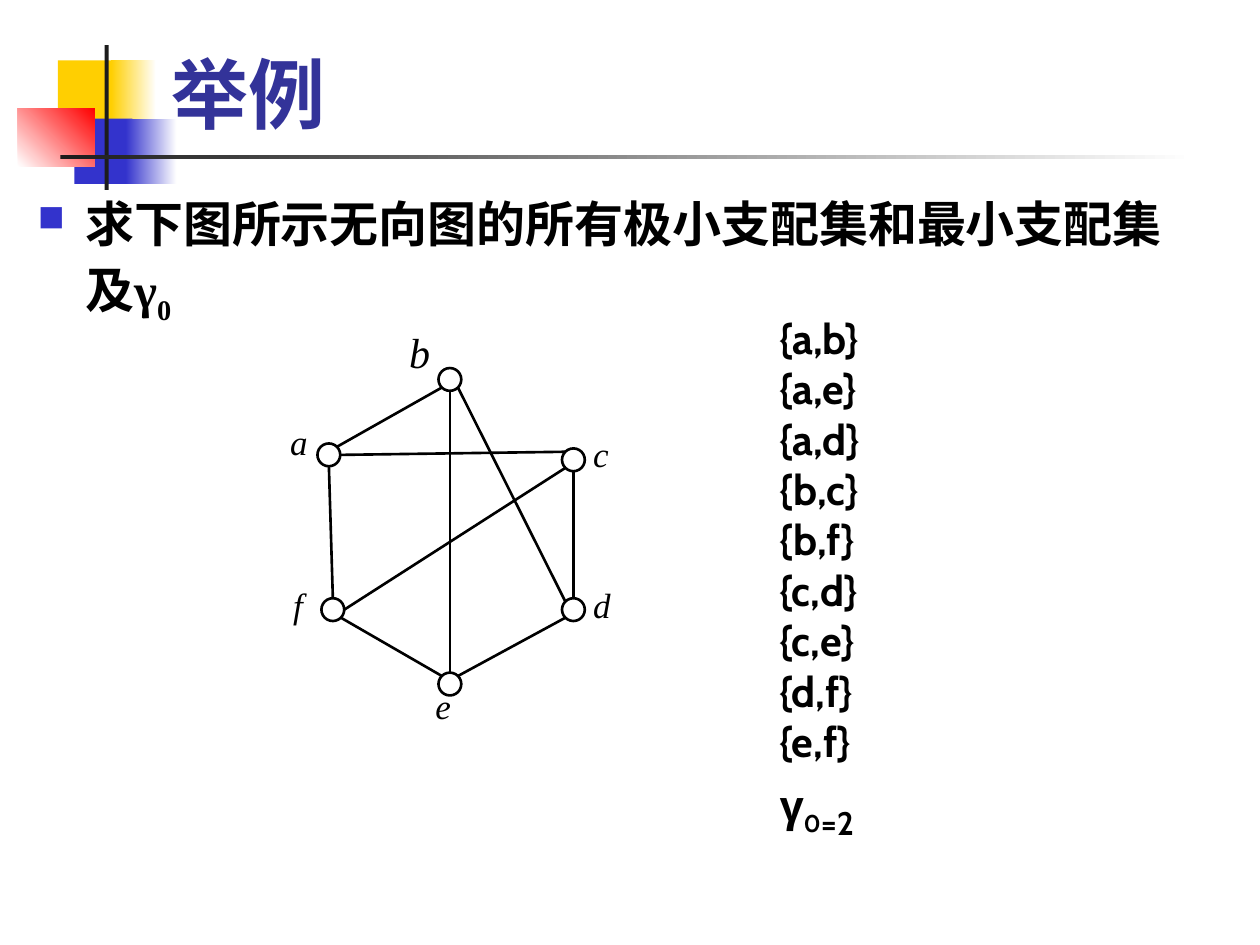
from math import sqrt

from lxml import etree
from pptx import Presentation
from pptx.dml.color import RGBColor
from pptx.enum.shapes import MSO_CONNECTOR, MSO_SHAPE
from pptx.enum.text import MSO_ANCHOR, MSO_AUTO_SIZE, PP_ALIGN
from pptx.oxml.ns import qn
from pptx.util import Cm, Pt

RECT, OVAL = MSO_SHAPE.RECTANGLE, MSO_SHAPE.OVAL
LINE = MSO_CONNECTOR.STRAIGHT
TOP, BOTTOM = MSO_ANCHOR.TOP, MSO_ANCHOR.BOTTOM
FIXED, GROW = MSO_AUTO_SIZE.NONE, MSO_AUTO_SIZE.SHAPE_TO_FIT_TEXT
LEFT = PP_ALIGN.LEFT

HUES = {
    "gold": "FFCF01",
    "blue": "3333CC",
    "red": "FF0000",
    "dark": "1C1C1C",
    "title": "333399",
    "black": "000000",
    "white": "FFFFFF",
}
SERIF, SANS = "Times New Roman", "Cabin"
SUB = -25000


def hue(name):
    return RGBColor.from_string(HUES[name])


def place(shape, x, y, w, h):
    shape.left, shape.top, shape.width, shape.height = map(Cm, (x, y, w, h))


def write(shape, paras, size=24, font=SANS, color="black", bold=False,
          italic=False, wrap=True, anchor=TOP, fit=FIXED, space=None, bullet=None):
    frame = shape.text_frame
    frame.word_wrap, frame.auto_size = wrap, fit
    frame.vertical_anchor = anchor
    for i, parts in enumerate(paras):
        para = frame.add_paragraph() if i else frame.paragraphs[0]
        para.alignment = LEFT
        if space:
            para.line_spacing = space
        if bullet:
            mark(para, bullet)
        for text, base, scale in [(parts, 0, size)] if isinstance(parts, str) else parts:
            run = para.add_run()
            run.text = text
            style = run.font
            style.size, style.name = Pt(scale), font
            style.bold, style.italic = bold, italic
            style.color.rgb = hue(color)
            if base:
                run._r.get_or_add_rPr().set("baseline", str(base))


def mark(para, color):
    props = para._p.get_or_add_pPr()
    props.set("marL", str(Cm(0.96)))
    props.set("indent", str(-Cm(0.96)))
    tint = etree.SubElement(props, qn("a:buClr"))
    etree.SubElement(tint, qn("a:srgbClr"), val=HUES[color])
    etree.SubElement(props, qn("a:buSzPct"), val="75000")
    etree.SubElement(props, qn("a:buChar"), char="■")


def block(shapes, x, y, w, h, start, end=None, angle=0):
    shape = shapes.add_shape(RECT, Cm(x), Cm(y), Cm(w), Cm(h))
    shape.shadow.inherit = False
    shape.line.fill.background()
    if end is None:
        shape.fill.solid()
        shape.fill.fore_color.rgb = hue(start)
        return
    shape.fill.gradient()
    shape.fill.gradient_angle = angle
    for stop, name, spot in zip(shape.fill.gradient_stops, (start, end), (0, 1)):
        stop.color.rgb = hue(name)
        stop.position = spot


def motif(shapes, x, y):
    block(shapes, x + 0.81, y + 0.31, 1.22, 1.32, "gold")
    block(shapes, x + 1.88, y + 0.31, 0.91, 1.32, "gold", "white")
    block(shapes, x + 1.14, y + 1.48, 1.17, 1.32, "blue")
    block(shapes, x + 2.18, y + 1.48, 1.02, 1.32, "blue", "white")
    block(shapes, x, y + 1.27, 1.55, 1.17, "white", "red", 45)
    block(shapes, x + 1.75, y, 0.08, 2.92, "dark")
    block(shapes, x + 0.86, y + 2.21, 22.86, 0.08, "dark", "white")


def heading(slide, *box):
    title = slide.shapes.title
    place(title, *box)
    write(title, ["举例"], size=44, color="title", bold=True, anchor=BOTTOM)


def task(shapes, *box):
    body = shapes.add_textbox(*map(Cm, box))
    text = "求下图所示无向图的所有极小支配集和最小支配集及γ"
    write(body, [[(text, 0, 28), ("0", SUB, 28)]], font=SERIF, bold=True,
          space=1.1, bullet="blue")


def graph(shapes, x, y):
    radius = 0.23
    nodes = {"a": (1.03, 2.72), "b": (3.47, 1.2), "c": (5.96, 2.82),
             "d": (5.96, 5.84), "e": (3.47, 7.34), "f": (1.11, 5.84)}
    labels = {"a": (0, 1.91, 0.99), "b": (2.4, 0, 1.07), "c": (6.11, 2.14, 0.94),
              "d": (6.11, 5.18, 0.99), "e": (2.93, 7.22, 0.94), "f": (0.06, 5.18, 0.81)}
    edges = [("a", "S", "f", "N"), ("a", "NE", "b", "SW"), ("b", "SE", "d", "NW"),
             ("c", "S", "d", "N"), ("f", "SE", "e", "NW"), ("e", "NE", "d", "SW"),
             ("b", "S", "e", "N"), ("f", "E", "c", "SW"), ("a", "E", "c", "NW")]
    group = shapes.add_group_shape().shapes

    def port(node, side):
        dx = ("E" in side) - ("W" in side)
        dy = ("S" in side) - ("N" in side)
        reach = radius / sqrt(dx * dx + dy * dy)
        cx, cy = nodes[node]
        return Cm(x + cx + dx * reach), Cm(y + cy + dy * reach)

    for cx, cy in nodes.values():
        dot = group.add_shape(OVAL, Cm(x + cx - radius), Cm(y + cy - radius),
                              Cm(2 * radius), Cm(2 * radius))
        dot.shadow.inherit = False
        dot.fill.background()
        dot.line.color.rgb, dot.line.width = hue("black"), Pt(1.5)
    for head, out, tail, into in edges:
        edge = group.add_connector(LINE, *port(head, out), *port(tail, into))
        edge.line.color.rgb, edge.line.width = hue("black"), Pt(1.5)
        etree.SubElement(edge._element.spPr, qn("a:effectLst"))
    for name, (dx, dy, wide) in labels.items():
        size = 24 if name == "b" else 20
        label = group.add_textbox(Cm(x + dx), Cm(y + dy), Cm(wide), Cm(size * 0.06))
        write(label, [name], size=size, font=SERIF, italic=True, wrap=False, fit=GROW)


def answer(shapes, *box):
    sets = ["ab", "ae", "ad", "bc", "bf", "cd", "ce", "df", "ef"]
    lines = ["{" + ",".join(pair) + "}" for pair in sets]
    lines.append([("γ", 0, 24), ("0", SUB, 24), ("=2", SUB, 32)])
    write(shapes.add_textbox(*map(Cm, box)), lines, bold=True, wrap=False, fit=GROW)


def main():
    deck = Presentation()
    deck.slide_width, deck.slide_height = Cm(25.4), Cm(19.05)
    slide = deck.slides.add_slide(deck.slide_layouts[5])
    shapes = slide.shapes
    motif(shapes, 0.36, 0.91)
    heading(slide, 3.2, 0.2, 21.64, 2.72)
    graph(shapes, 5.6, 6.45)
    task(shapes, 0.51, 3.66, 23.6, 2.51)
    answer(shapes, 15.47, 6.17, 2.87, 10.52)
    deck.save("out.pptx")


if __name__ == "__main__":
    main()
